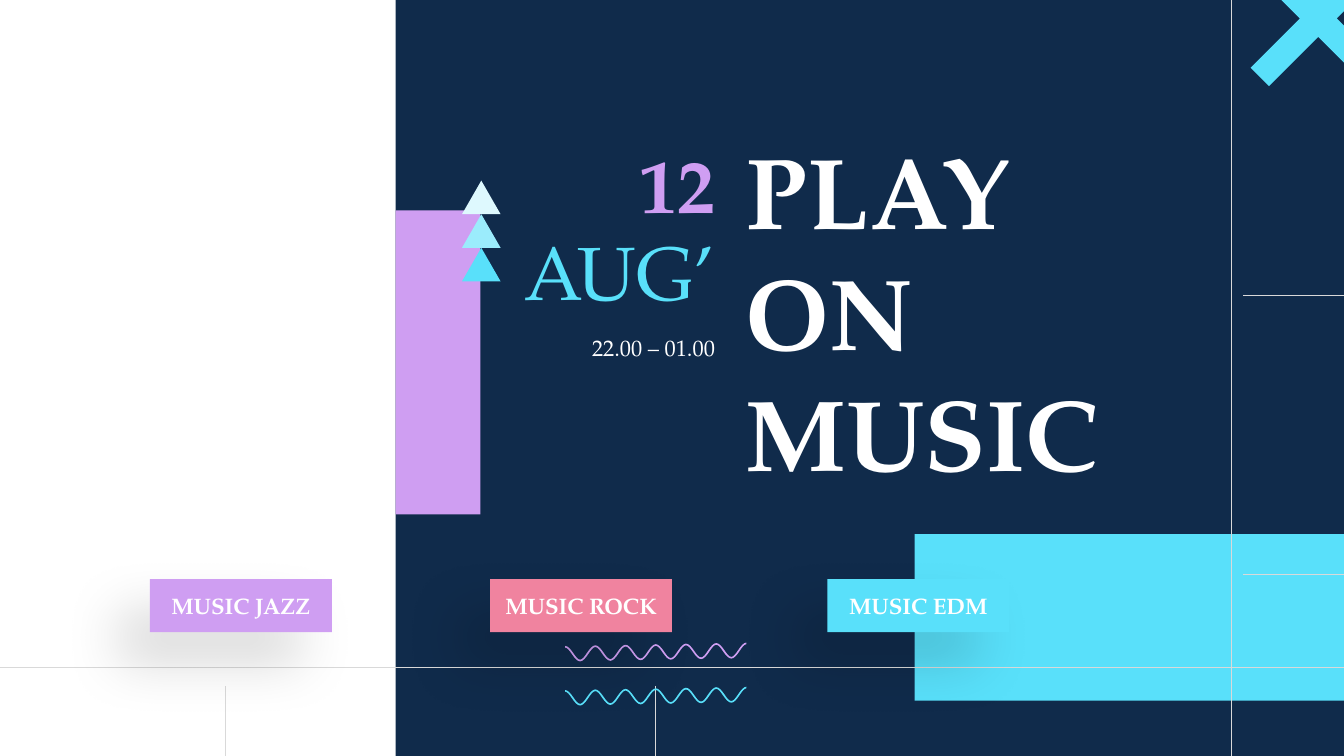
from math import cos, hypot, pi, radians, sin

from lxml import etree
from pptx import Presentation
from pptx.dml.color import RGBColor
from pptx.enum.shapes import MSO_CONNECTOR, MSO_SHAPE
from pptx.enum.text import MSO_AUTO_SIZE, PP_ALIGN
from pptx.oxml.ns import qn
from pptx.util import Inches, Pt

RECT = MSO_SHAPE.RECTANGLE
PEAK = MSO_SHAPE.ISOSCELES_TRIANGLE
LINE = MSO_CONNECTOR.STRAIGHT
LEFT, MID, RIGHT = PP_ALIGN.LEFT, PP_ALIGN.CENTER, PP_ALIGN.RIGHT
FIT = MSO_AUTO_SIZE.SHAPE_TO_FIT_TEXT

FONT = "TeX Gyre Pagella"
HUES = {
    "white": "FFFFFF", "navy": "102B4B", "lilac": "CF9EF2", "pink": "F0839F",
    "cyan": "59E0FA", "sky": "9BECFC", "ice": "DEF9FE", "grey": "D9D9D9",
    "black": "000000",
}
COLS, ROWS = 160, 90
CELL = Inches(7.5) / ROWS


def cell(num):
    return round(num * CELL)


def hue(name):
    return RGBColor.from_string(HUES[name])


def paint(shape, name):
    shape.shadow.inherit = False
    shape.fill.solid()
    shape.fill.fore_color.rgb = hue(name)
    shape.line.fill.background()
    return shape


def block(host, kind, box, name):
    return paint(host.add_shape(kind, *map(cell, box)), name)


def outline(host, spots, name):
    first, *rest = [(cell(x), cell(y)) for x, y in spots]
    form = host.build_freeform(*first)
    form.add_line_segments(rest, close=True)
    return paint(form.convert_to_shape(), name)


def rule(host, ends):
    line = host.add_connector(LINE, *map(cell, ends))
    line.line.color.rgb = hue("grey")
    line.line.width = Pt(0.75)
    etree.SubElement(line._element.spPr, qn("a:effectLst"))


def label(host, box, text, size, name, align=LEFT, bold=False, space=None):
    frame = host.add_textbox(*map(cell, box)).text_frame
    frame.word_wrap = True
    frame.auto_size = FIT
    frame.text = text
    para = frame.paragraphs[0]
    para.alignment = align
    if space:
        para.line_spacing = space
    font = para.runs[0].font
    font.name, font.size, font.bold = FONT, Pt(size), bold
    font.color.rgb = hue(name)


def cross(host, x, y, name):
    arm = [(5.87, -8.07), (0, -2.2), (-5.87, -8.07)]
    spots = []
    for turn in range(4):
        spots += [(x + dx, y + dy) for dx, dy in arm]
        arm = [(dy, -dx) for dx, dy in arm]
    outline(host, spots, name)


def edge(nodes):
    spots = [nodes[0][:2]]
    for (x, y, m), (u, v, n) in zip(nodes, nodes[1:]):
        d = (u - x) / 3
        spots += [(x + d, y + m * d), (u - d, v - n * d), (u, v)]
    return spots


def bend(shape, count):
    legs = list(shape._element.iter(qn("a:lnTo")))
    legs.pop(count)
    for at in range(0, len(legs), 3):
        curve = etree.Element(qn("a:cubicBezTo"))
        legs[at].addprevious(curve)
        for leg in legs[at:at + 3]:
            curve.append(leg[0])
            leg.getparent().remove(leg)


def wave(host, x, y, name):
    turns, span, high, rise, half, tilt = 6, 21.6, 0.84, 0.4, 0.1, 43.8
    count = turns * 4
    upper, lower = [], []
    for step in range(count + 1):
        part = step / count
        turn = 2 * pi * turns * part
        px = x + span * part
        py = y - high * cos(turn) - rise * part
        slope = (high * 2 * pi * turns * sin(turn) - rise) / span
        size = hypot(1, slope)
        dx, dy = -half * slope / size, half / size
        upper.append((px - dx, py - dy, slope))
        lower.append((px + dx, py + dy, slope))
    mid, c, s = x + span / 2, cos(radians(tilt)), sin(radians(tilt))
    spots = [(mid + (u - mid) * c + (v - y) * s, y - (u - mid) * s + (v - y) * c)
             for u, v in edge(upper) + edge(lower[::-1])]
    shape = outline(host, spots, name)
    bend(shape, count * 3)
    shape.rotation = tilt
    shape.left = cell(mid) - shape.width // 2
    shape.top = cell(y - rise / 2) - shape.height // 2


def glow(shape):
    effects = shape._element.spPr.find(qn("a:effectLst"))
    shade = etree.SubElement(
        effects, qn("a:outerShdw"), blurRad=str(Pt(40)), dist=str(Pt(32)),
        dir=str(135 * 60000), algn="tr", rotWithShape="0")
    tint = etree.SubElement(shade, qn("a:srgbClr"), val=HUES["black"])
    etree.SubElement(tint, qn("a:alpha"), val="15000")


def tag(host, x, text, name):
    group = host.add_group_shape().shapes
    glow(block(group, RECT, (x, 68.95, 21.65, 6.3), name))
    label(group, (x, 69.9, 21.65, 4.4), text, 16, "white", MID, True)


def main():
    deck = Presentation()
    deck.slide_width, deck.slide_height = cell(COLS), cell(ROWS)
    host = deck.slides.add_slide(deck.slide_layouts[6]).shapes

    block(host, RECT, (47.1, 0, COLS - 47.1, ROWS), "navy")
    block(host, RECT, (47.1, 25.05, 10.1, 36.2), "lilac")
    cross(host, 156.95, 2.2, "cyan")
    block(host, RECT, (108.9, 63.6, COLS - 108.9, 19.8), "cyan")

    rule(host, (COLS, 79.43, 0, 79.43))
    for x in (26.9, 78):
        rule(host, (x, 81.65, x, ROWS))
    for row, name in enumerate(("lilac", "cyan")):
        wave(host, 67.25, 77.1 + 5.25 * row, name)
    for row, name in enumerate(("ice", "sky", "cyan")):
        block(host, PEAK, (55, 21.5 + 4 * row, 4.6, 4), name)
    rule(host, (146.6, 0, 146.6, ROWS))
    for y in (35.2, 68.4):
        rule(host, (148, y, COLS, y))

    label(host, (60.6, 26.2, 25.7, 12.1), "AUG’", 54, "cyan", RIGHT)
    label(host, (63.3, 37.6, 23, 5.6), "22.00 – 01.00", 16, "white", RIGHT,
          space=1.5)
    label(host, (87.6, 14.72, 53.8, 30.2), "PLAY ON MUSIC", 72, "white",
          bold=True)
    label(host, (73.2, 15.8, 13.1, 12.1), "12", 54, "lilac", RIGHT, True)

    tag(host, 17.85, "MUSIC JAZZ", "lilac")
    tag(host, 58.35, "MUSIC ROCK", "pink")
    tag(host, 98.5, "MUSIC EDM", "cyan")

    deck.save("out.pptx")


main()
